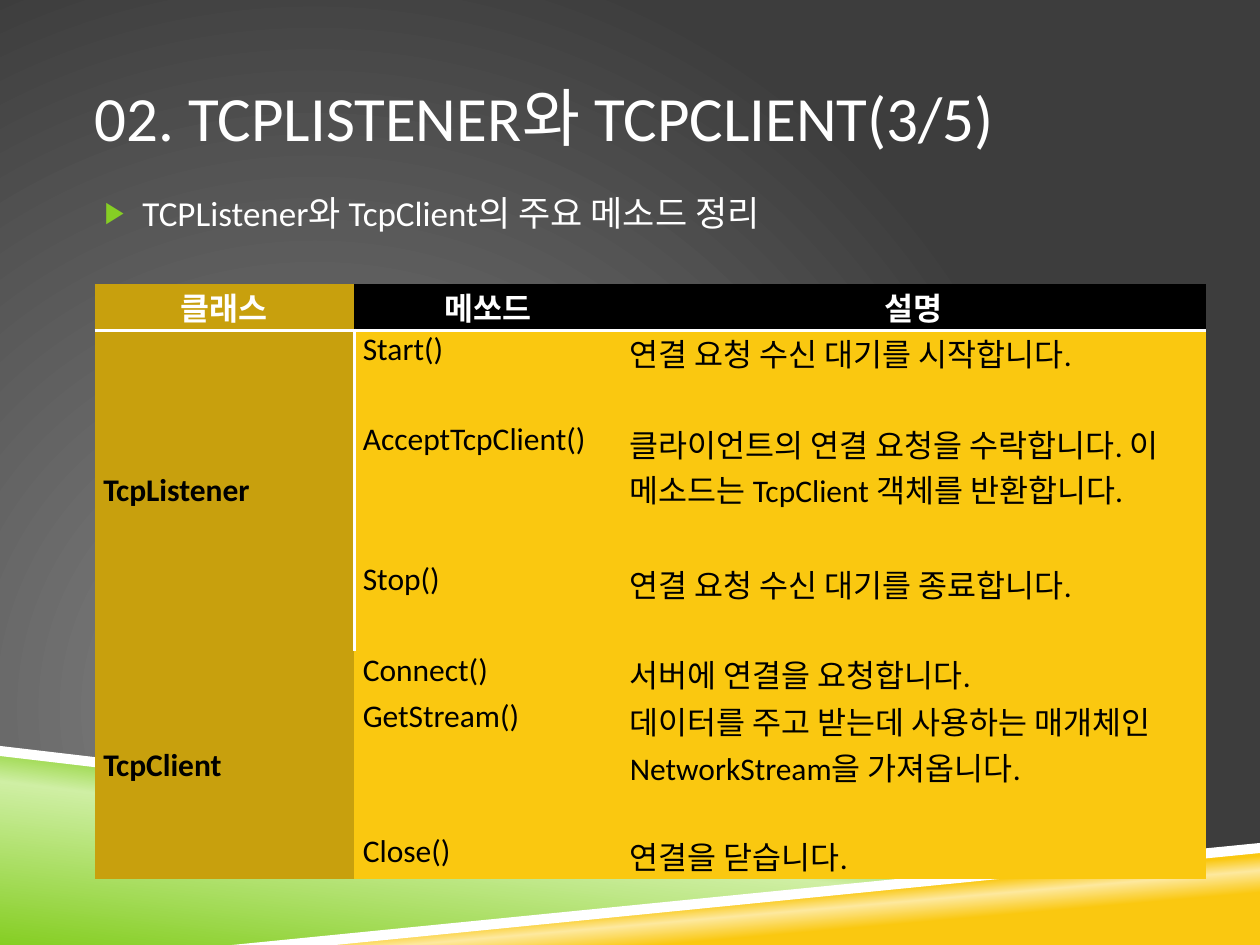
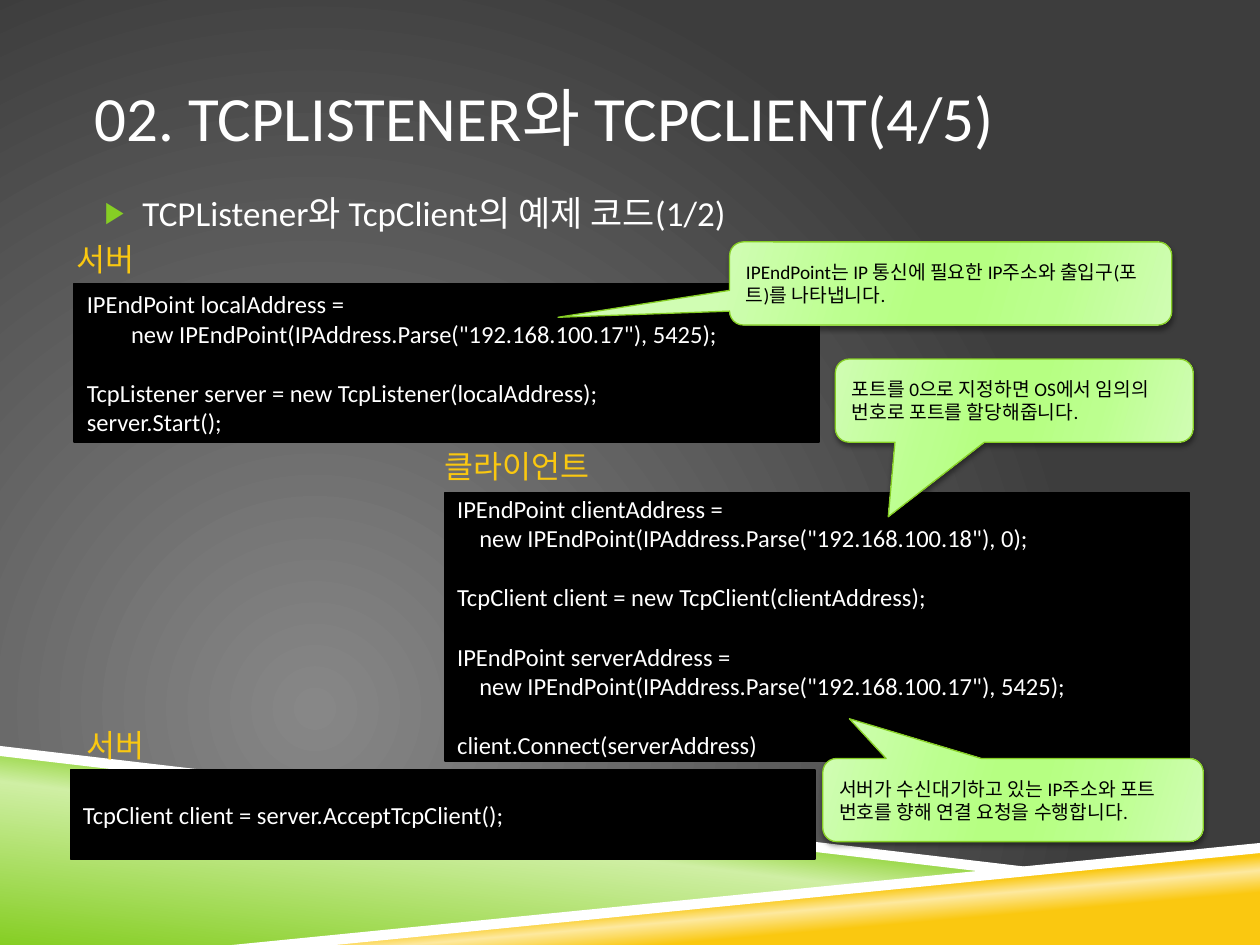
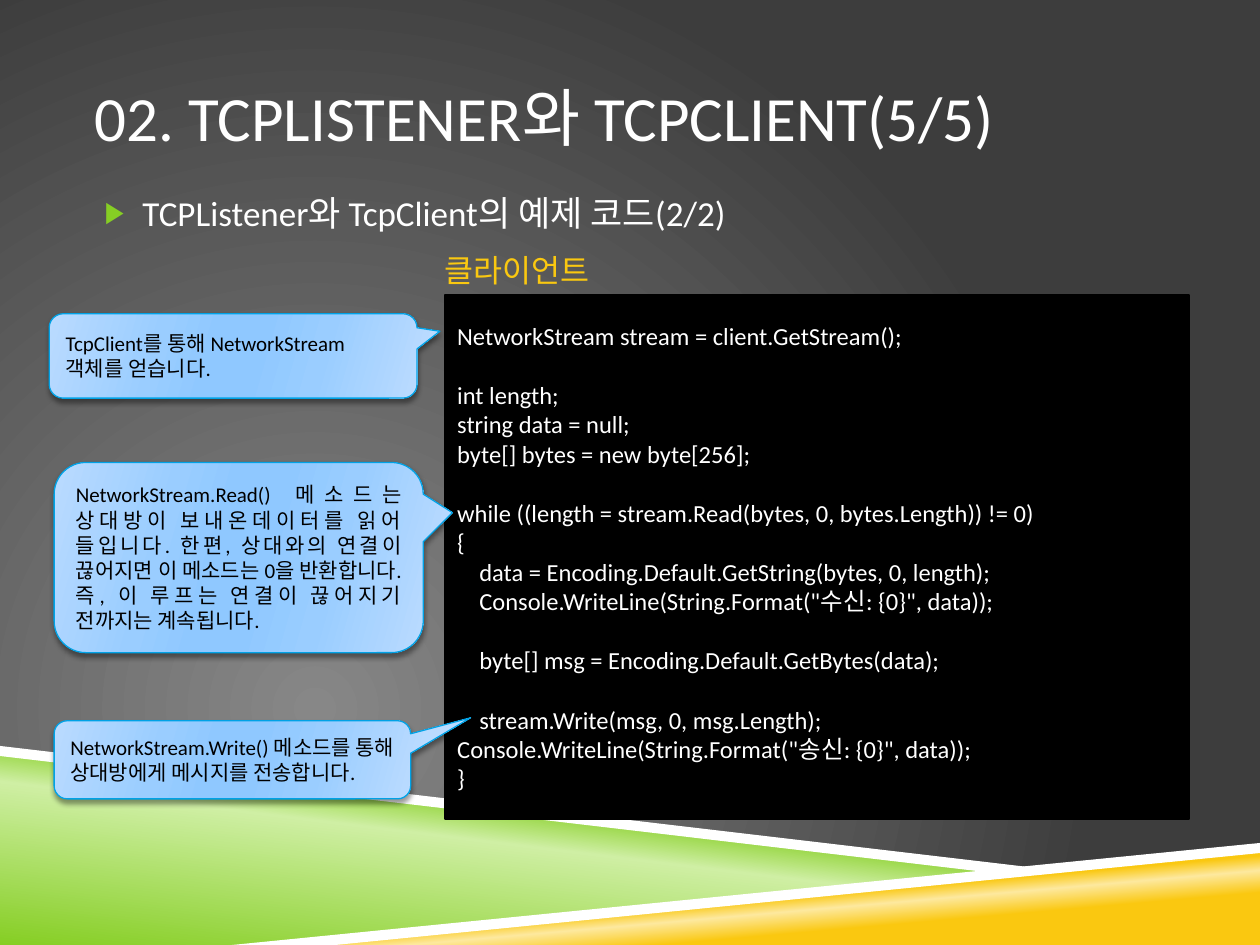
"""Build three slides on TcpListener and TcpClient."""
from dataclasses import dataclass

import lxml.etree
import pptx
import pptx.dml.color
import pptx.enum.shapes
import pptx.enum.text
import pptx.oxml
import pptx.oxml.ns
import pptx.util

Inches = pptx.util.Inches
Pt = pptx.util.Pt
RGBColor = pptx.dml.color.RGBColor
Align = pptx.enum.text.PP_ALIGN
Anchor = pptx.enum.text.MSO_ANCHOR
Shape = pptx.enum.shapes.MSO_SHAPE
qn = pptx.oxml.ns.qn

FONT = "Calibri"
WHITE = RGBColor(0xFF, 0xFF, 0xFF)
BLACK = RGBColor(0x00, 0x00, 0x00)
GREEN = RGBColor(0x86, 0xCE, 0x24)
PALE_GREEN = RGBColor(0xCF, 0xEF, 0xA4)
GOLD = RGBColor(0xFA, 0xC8, 0x10)
PALE_GOLD = RGBColor(0xFD, 0xE9, 0x9F)
DARK_GOLD = RGBColor(0xC8, 0xA0, 0x0D)
BLUE = RGBColor(0x00, 0xA2, 0xE6)
LIGHT_GRAY = RGBColor(0x87, 0x87, 0x87)
DARK_GRAY = RGBColor(0x3D, 0x3D, 0x3D)
MINT = [RGBColor(0xD0, 0xFD, 0xB3), RGBColor(0xBC, 0xFF, 0x8F), RGBColor(0xB6, 0xFF, 0x82)]
SKY = [RGBColor(0xBA, 0xDB, 0xFF), RGBColor(0x9A, 0xCD, 0xFF), RGBColor(0x8F, 0xC8, 0xFF)]

CODE_LINE = Pt(17)
NO_STYLE = "{2D5ABB26-0587-4C30-8999-92F81FD0307C}"
CENTRE_GLOW = '<a:path path="circle"><a:fillToRect l="50000" t="100000" r="100000" b="50000"/></a:path>'

Stops = list[tuple[int, RGBColor]]


@dataclass
class Band:
    points: list[tuple[float, float]]
    stops: Stops | None = None
    angle: int = 0


@dataclass
class CodeBox:
    left: float
    top: float
    width: float
    height: float
    code: str


@dataclass
class Label:
    left: float
    top: float
    width: float
    text: str


@dataclass
class CalloutStyle:
    tones: list[RGBColor]
    line: RGBColor
    size: int


@dataclass
class Callout:
    left: float
    top: float
    width: float
    height: float
    tip: tuple[float, float]
    text: str
    style: CalloutStyle
    align: Align = Align.LEFT


GREEN_NOTE = CalloutStyle(MINT, GREEN, 11)
BLUE_NOTE = CalloutStyle(SKY, BLUE, 12)

BANDS = [
    Band([(0, 5.97), (7.92, 6.92), (2, 7.5), (0, 7.5)],
         [(0, GREEN), (52, PALE_GREEN), (66, GREEN)], 277),
    Band([(1.98, 7.5), (10, 6.72), (10, 7.5)],
         [(28, GOLD), (40, PALE_GOLD), (48, GOLD)], 265),
    Band([(0, 5.92), (0, 6), (7.9, 6.93), (8.32, 6.9)]),
    Band([(10, 6.69), (1.84, 7.5), (2.66, 7.5), (10, 6.77)]),
]

COLUMNS = [2.06, 2.12, 4.64]
ROW_HEIGHTS = [0.37, 0.72, 1.11, 0.72, 0.37, 1.07, 0.37]
HEADERS = ["클래스", "메쏘드", "설명"]
METHODS = {
    "TcpListener": [
        ("Start()", "연결 요청 수신 대기를 시작합니다."),
        ("AcceptTcpClient()",
         "클라이언트의 연결 요청을 수락합니다. 이 메소드는 TcpClient 객체를 반환합니다."),
        ("Stop()", "연결 요청 수신 대기를 종료합니다."),
    ],
    "TcpClient": [
        ("Connect()", "서버에 연결을 요청합니다."),
        ("GetStream()", "데이터를 주고 받는데 사용하는 매개체인 NetworkStream을 가져옵니다."),
        ("Close()", "연결을 닫습니다."),
    ],
}

SERVER_START = """IPEndPoint localAddress =
        new IPEndPoint(IPAddress.Parse("192.168.100.17"), 5425);

TcpListener server = new TcpListener(localAddress);
server.Start();"""

CLIENT_CONNECT = """IPEndPoint clientAddress =
    new IPEndPoint(IPAddress.Parse("192.168.100.18"), 0);

TcpClient client = new TcpClient(clientAddress);

IPEndPoint serverAddress =
    new IPEndPoint(IPAddress.Parse("192.168.100.17"), 5425);

client.Connect(serverAddress)"""

SERVER_ACCEPT = "TcpClient client = server.AcceptTcpClient();"

CLIENT_STREAM = """NetworkStream stream = client.GetStream();

int length;
string data = null;
byte[] bytes = new byte[256];

while ((length = stream.Read(bytes, 0, bytes.Length)) != 0)
{
    data = Encoding.Default.GetString(bytes, 0, length);
    Console.WriteLine(String.Format("수신: {0}", data));

    byte[] msg = Encoding.Default.GetBytes(data);

    stream.Write(msg, 0, msg.Length);
Console.WriteLine(String.Format("송신: {0}", data));
}"""

CONNECT_ITEMS = [
    CodeBox(0.59, 2.25, 5.91, 1.26, SERVER_START),
    CodeBox(3.53, 3.91, 5.91, 2.13, CLIENT_CONNECT),
    CodeBox(0.56, 6.11, 5.91, 0.71, SERVER_ACCEPT),
    Callout(5.79, 1.92, 3.51, 0.66, (-0.888, 0.407),
            "IPEndPoint는 IP 통신에 필요한 IP주소와 출입구(포트)를 나타냅니다.", GREEN_NOTE),
    Callout(6.63, 2.85, 2.84, 0.66, (-0.352, 1.397),
            "포트를 0으로 지정하면 OS에서 임의의 번호로 포트를 할당해줍니다.", GREEN_NOTE),
    Callout(6.53, 6.02, 3.02, 0.66, (-0.43, -0.978),
            "서버가 수신대기하고 있는 IP주소와 포트 번호를 향해 연결 요청을 수행합니다.", GREEN_NOTE),
    Label(0.51, 1.86, 0.71, "서버"),
    Label(3.43, 3.5, 1.46, "클라이언트"),
    Label(0.59, 5.71, 0.71, "서버"),
]

STREAM_ITEMS = [
    CodeBox(3.53, 2.34, 5.91, 4.16, CLIENT_STREAM),
    Label(3.43, 1.94, 1.46, "클라이언트"),
    Callout(0.39, 2.49, 2.92, 0.67, (0.562, -0.292),
            "TcpClient를 통해 NetworkStream 객체를 얻습니다.", BLUE_NOTE),
    Callout(0.43, 3.67, 2.93, 1.51, (0.579, -0.236),
            "NetworkStream.Read() 메소드는 상대방이 보내온데이터를 읽어 들입니다. "
            "한편, 상대와의 연결이 끊어지면 이 메소드는 0을 반환합니다. "
            "즉, 이 루프는 연결이 끊어지기 전까지는 계속됩니다.", BLUE_NOTE, Align.JUSTIFY),
    Callout(0.43, 5.72, 2.83, 0.62, (0.668, -0.538),
            "NetworkStream.Write() 메소드를 통해 상대방에게 메시지를 전송합니다.", BLUE_NOTE),
]


def make_xml(xml: str):
    """Parse a drawing element written with the a: prefix."""
    head, mark, rest = xml.partition(" ")
    return pptx.oxml.parse_xml(f"{head} {pptx.oxml.ns.nsdecls('a')}{mark}{rest}")


def set_gradient(element, stops: Stops, shade: str) -> None:
    """Replace the solid fill under an element with a gradient."""
    solid = next(element.iter(qn("a:solidFill")))
    marks = "".join(f'<a:gs pos="{pos * 1000}"><a:srgbClr val="{color}"/></a:gs>'
                    for pos, color in stops)
    gradient = make_xml(f'<a:gradFill rotWithShape="1"><a:gsLst>{marks}</a:gsLst>{shade}</a:gradFill>')
    solid.getparent().replace(solid, gradient)


def linear(angle: int) -> str:
    """Return the shading element of a straight gradient."""
    return f'<a:lin ang="{angle * 60000}" scaled="0"/>'


def style_paragraph(p, size: float, color: RGBColor, align: Align = Align.LEFT,
                    bold: bool = False) -> None:
    """Set the font and alignment of a paragraph."""
    p.alignment = align
    p.font.name = FONT
    p.font.size = Pt(size)
    p.font.color.rgb = color
    p.font.bold = bold


def build_master(prs, slide) -> None:
    """Put the background and the bands on the slide master."""
    master = prs.slide_master
    fill = master.background.fill
    fill.solid()
    fill.fore_color.rgb = LIGHT_GRAY
    background = next(master.element.iter(qn("p:bg")))
    set_gradient(background, [(0, LIGHT_GRAY), (100, DARK_GRAY)], CENTRE_GLOW)
    for i, band in enumerate(BANDS):
        first, *others = [(Inches(x), Inches(y)) for x, y in band.points]
        builder = slide.shapes.build_freeform(*first)
        builder.add_line_segments(others, close=True)
        sp = builder.convert_to_shape()
        sp.shadow.inherit = False
        sp.fill.solid()
        sp.fill.fore_color.rgb = WHITE
        sp.line.fill.background()
        if band.stops:
            set_gradient(sp.element, band.stops, linear(band.angle))
        next(sp.element.iter(qn("p:cNvPr"))).set("id", str(100 + i))
        master.shapes.element.insert(2 + i, sp.element)


def fill_placeholder(sp, text: str, top: float, height: float, size: int, anchor: Anchor):
    """Place and format a text placeholder and return its paragraph."""
    sp.left, sp.top, sp.width, sp.height = map(Inches, (0.75, top, 8.5, height))
    tf = sp.text_frame
    tf.text = text
    tf.auto_size = pptx.enum.text.MSO_AUTO_SIZE.NONE
    tf.vertical_anchor = anchor
    tf.margin_left = tf.margin_right = 0
    p = tf.paragraphs[0]
    p.space_before = Pt(0)
    style_paragraph(p, size, WHITE)
    return p


def add_slide(prs, page: int, topic: str):
    """Add a slide with its title and bulleted topic."""
    slide = prs.slides.add_slide(prs.slide_layouts[1])
    title, body = slide.placeholders
    fill_placeholder(title, f"02. TCPLISTENER와 TCPCLIENT({page}/5)", 0.3, 1.25, 36, Anchor.MIDDLE)
    p = fill_placeholder(body, topic, 1.47, 4.44, 20, Anchor.TOP)
    pPr = p._p.get_or_add_pPr()
    pPr.set("marL", str(Inches(0.38)))
    pPr.set("indent", str(Inches(-0.3)))
    bullet = [f'<a:buClr ><a:srgbClr val="{GREEN}"/></a:buClr>', '<a:buSzPct val="85000"/>',
              '<a:buChar char="▶"/>']
    spacing = pPr.find(qn("a:spcBef"))
    for xml in reversed(bullet):
        spacing.addnext(make_xml(xml))
    return slide


def fill_cell(cell, text: str, fill: RGBColor, color: RGBColor = BLACK,
              align: Align = Align.LEFT, bold: bool = False) -> None:
    """Write and format a table cell."""
    cell.text = text
    cell.margin_left = cell.margin_right = Inches(0.07)
    cell.margin_top = cell.margin_bottom = 0
    cell.fill.solid()
    cell.fill.fore_color.rgb = fill
    style_paragraph(cell.text_frame.paragraphs[0], 18, color, align, bold)


def add_border(cell, side: str) -> None:
    """Draw a white border on the side named lnR or lnB."""
    border = make_xml(f'<a:{side} w="{Pt(2)}"><a:solidFill><a:srgbClr val="{WHITE}"/>'
                      f'</a:solidFill></a:{side}>')
    cell._tc.get_or_add_tcPr().insert(0, border)


def add_method_table(slide) -> None:
    """Add the table of the methods of each class."""
    gf = slide.shapes.add_table(len(ROW_HEIGHTS), len(COLUMNS), Inches(0.75), Inches(2.25),
                                Inches(sum(COLUMNS)), Inches(sum(ROW_HEIGHTS)))
    next(gf.element.iter(qn("a:tableStyleId"))).text = NO_STYLE
    table = gf.table
    for column, width in zip(table.columns, COLUMNS):
        column.width = Inches(width)
    for row, height in zip(table.rows, ROW_HEIGHTS):
        row.height = Inches(height)
    for i, header in enumerate(HEADERS):
        cell = table.cell(0, i)
        fill_cell(cell, header, BLACK if i else DARK_GOLD, WHITE, Align.CENTER, True)
        add_border(cell, "lnB")
    top = 1
    for name, methods in METHODS.items():
        for row, (method, meaning) in enumerate(methods, top):
            fill_cell(table.cell(row, 1), method, GOLD)
            fill_cell(table.cell(row, 2), meaning, GOLD)
            if name == "TcpListener":
                add_border(table.cell(row, 0), "lnR")
        cell = table.cell(top, 0)
        cell.merge(table.cell(top + len(methods) - 1, 0))
        fill_cell(cell, name, DARK_GOLD, align=Align.JUSTIFY, bold=True)
        cell.vertical_anchor = Anchor.MIDDLE
        top += len(methods)


def add_box(slide, kind: Shape, item: CodeBox | Callout, fill: RGBColor, line: RGBColor,
            weight: float):
    """Add a filled shape ready for wrapped text."""
    sp = slide.shapes.add_shape(kind, *map(Inches, (item.left, item.top, item.width, item.height)))
    sp.shadow.inherit = False
    sp.fill.solid()
    sp.fill.fore_color.rgb = fill
    sp.line.color.rgb = line
    sp.line.width = Pt(weight)
    sp.text_frame.word_wrap = True
    sp.text_frame.vertical_anchor = Anchor.MIDDLE
    return sp


def add_code(slide, box: CodeBox) -> None:
    """Add a black box of code, with spacing for its empty lines."""
    tf = add_box(slide, Shape.RECTANGLE, box, BLACK, BLACK, 1).text_frame
    p = tf.paragraphs[0]
    for i, block in enumerate(box.code.split("\n\n")):
        for j, line in enumerate(block.split("\n")):
            if i or j:
                p = tf.add_paragraph()
            if i and not j:
                p.space_before = CODE_LINE
            p.text = line
            style_paragraph(p, 14, WHITE)


def add_callout(slide, note: Callout) -> None:
    """Add a shaded callout with a soft shadow."""
    style = note.style
    sp = add_box(slide, Shape.ROUNDED_RECTANGULAR_CALLOUT, note, style.tones[0], style.line, 0.75)
    for i, value in enumerate((*note.tip, 0.167)):
        sp.adjustments[i] = value
    tones = style.tones + style.tones[::-1]
    set_gradient(sp.element, list(zip((0, 30, 45, 55, 73, 100), tones)), linear(16))
    next(sp.element.iter(qn("a:effectLst"))).append(make_xml(
        f'<a:outerShdw blurRad="{Pt(3)}" dist="{Pt(2)}" dir="5400000" rotWithShape="0">'
        f'<a:srgbClr val="{BLACK}"><a:alpha val="40000"/></a:srgbClr></a:outerShdw>'))
    sp.text_frame.text = note.text
    style_paragraph(sp.text_frame.paragraphs[0], style.size, BLACK, note.align)


def add_label(slide, label: Label) -> None:
    """Add a gold heading above a code box."""
    sp = slide.shapes.add_textbox(*map(Inches, (label.left, label.top, label.width, 0.4)))
    tf = sp.text_frame
    tf.word_wrap = False
    tf.auto_size = pptx.enum.text.MSO_AUTO_SIZE.SHAPE_TO_FIT_TEXT
    tf.text = label.text
    style_paragraph(tf.paragraphs[0], 18, GOLD)


DRAW = {CodeBox: add_code, Callout: add_callout, Label: add_label}


def main() -> None:
    """Build and save the presentation."""
    prs = pptx.Presentation()
    prs.slide_width, prs.slide_height = Inches(10), Inches(7.5)
    slide = add_slide(prs, 3, "TCPListener와 TcpClient의 주요 메소드 정리")
    build_master(prs, slide)
    add_method_table(slide)
    for part, items in enumerate((CONNECT_ITEMS, STREAM_ITEMS), 1):
        slide = add_slide(prs, part + 3, f"TCPListener와 TcpClient의 예제 코드({part}/2)")
        for item in items:
            DRAW[type(item)](slide, item)
    prs.save("out.pptx")


if __name__ == "__main__":
    main()
